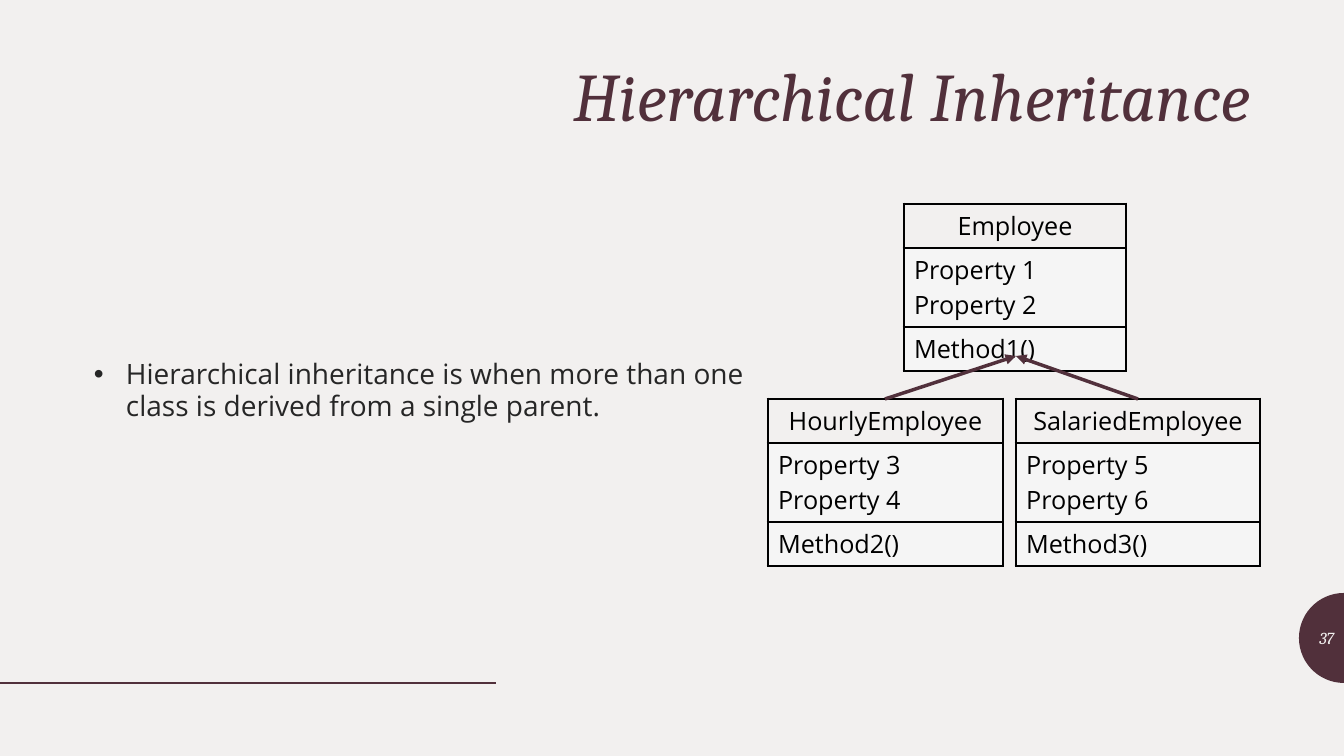
from math import cos, pi, sin

from lxml.etree import SubElement
from pptx import Presentation
from pptx.dml.color import RGBColor
from pptx.enum.shapes import MSO_CONNECTOR
from pptx.enum.text import MSO_ANCHOR, PP_ALIGN
from pptx.oxml.ns import qn
from pptx.util import Pt

PX = 914400 / 100.8
PLUM, PAPER, BLACK = "51303B", "F2F0EF", "000000"


def px(*sizes):
    """Turn pixel lengths into EMU."""
    return [round(size * PX) for size in sizes]


def write(para, text, size, face, color, italic=False):
    run = para.add_run()
    run.text = text
    run.font.size = Pt(size)
    run.font.name = face
    run.font.italic = italic
    run.font.bold = False
    run.font.color.rgb = RGBColor.from_string(color)


prs = Presentation()
prs.slide_width, prs.slide_height = px(1344, 756)
slide = prs.slides.add_slide(prs.slide_layouts[6])
slide.background.fill.solid()
slide.background.fill.fore_color.rgb = RGBColor.from_string(PAPER)
shapes = slide.shapes

# Half disc at the right edge
steps = 30
arc = [px(1344 - 45 * sin(pi * i / steps), 638 - 45 * cos(pi * i / steps))
       for i in range(steps + 1)]
outline = shapes.build_freeform(*arc[0], scale=1.0)
outline.add_line_segments(arc[1:], close=True)
disc = outline.convert_to_shape()
disc.shadow.inherit = False
disc.fill.solid()
disc.fill.fore_color.rgb = RGBColor.from_string(PLUM)
disc.line.fill.background()

# Title, body and slide number
texts = [
    ((84, 58, 1176, 84), "Hierarchical Inheritance", 48.6, "Cambria", PLUM,
     True, PP_ALIGN.RIGHT, 0.9, MSO_ANCHOR.TOP),
    ((84, 353, 678, 84),
     "Hierarchical inheritance is when more than one class is derived from a single parent.",
     20, "Open Sans", "262626", False, PP_ALIGN.LEFT, 0.97, MSO_ANCHOR.TOP),
    ((1299, 618, 45, 40), "37", 12, "Cambria", PAPER,
     True, PP_ALIGN.RIGHT, 1.0, MSO_ANCHOR.MIDDLE),
]
for area, text, size, face, color, italic, align, gap, anchor in texts:
    frame = shapes.add_textbox(*px(*area)).text_frame
    frame.word_wrap = True
    frame.vertical_anchor = anchor
    para = frame.paragraphs[0]
    para.alignment = align
    para.line_spacing = gap
    if align == PP_ALIGN.LEFT:
        props = para._p.get_or_add_pPr()
        indent = px(32)[0]
        props.set("marL", str(indent))
        props.set("indent", str(-indent))
        SubElement(props, qn("a:buFont")).set("typeface", "Arial")
        SubElement(props, qn("a:buChar")).set("char", "•")
    write(para, text, size, face, color, italic)

# Class boxes
classes = [
    (904, 204, 222, "Employee", ["Property 1", "Property 2"], "Method1()"),
    (768, 399, 235, "HourlyEmployee", ["Property 3", "Property 4"], "Method2()"),
    (1016, 399, 244, "SalariedEmployee", ["Property 5", "Property 6"], "Method3()"),
]
for left, top, width, name, fields, method in classes:
    table = shapes.add_table(3, 1, *px(left, top, width, 167)).table
    table.first_row = table.horz_banding = False
    for row, (height, lines) in enumerate([(44, [name]), (79, fields), (44, [method])]):
        table.rows[row].height = px(height)[0]
        cell = table.cell(row, 0)
        frame = cell.text_frame
        for i, line in enumerate(lines):
            para = frame.add_paragraph() if i else frame.paragraphs[0]
            para.alignment = PP_ALIGN.LEFT if row else PP_ALIGN.CENTER
            write(para, line, 18, "Open Sans", BLACK)
        props = cell._tc.get_or_add_tcPr()
        for side in ("lnL", "lnR", "lnT", "lnB"):
            edge = SubElement(props, qn(f"a:{side}"), w=str(Pt(2.25)))
            SubElement(SubElement(edge, qn("a:solidFill")), qn("a:srgbClr"), val=BLACK)
        if row:
            cell.fill.solid()
            cell.fill.fore_color.rgb = RGBColor.from_string("F5F5F5")
        else:
            cell.fill.background()

# Footer rule and the arrows to the parent class
lines = [
    ((0, 683, 496, 683), 2, False),
    ((885, 399, 1016, 356), 2.5, True),
    ((1138, 399, 1016, 356), 2.5, True),
]
for ends, weight, arrow in lines:
    line = shapes.add_connector(MSO_CONNECTOR.STRAIGHT, *px(*ends))
    line.line.width = Pt(weight)
    line.line.color.rgb = RGBColor.from_string(PLUM)
    if arrow:
        SubElement(line.line._get_or_add_ln(), qn("a:tailEnd"), type="triangle")
    SubElement(line._element.spPr, qn("a:effectLst"))

prs.save("out.pptx")
